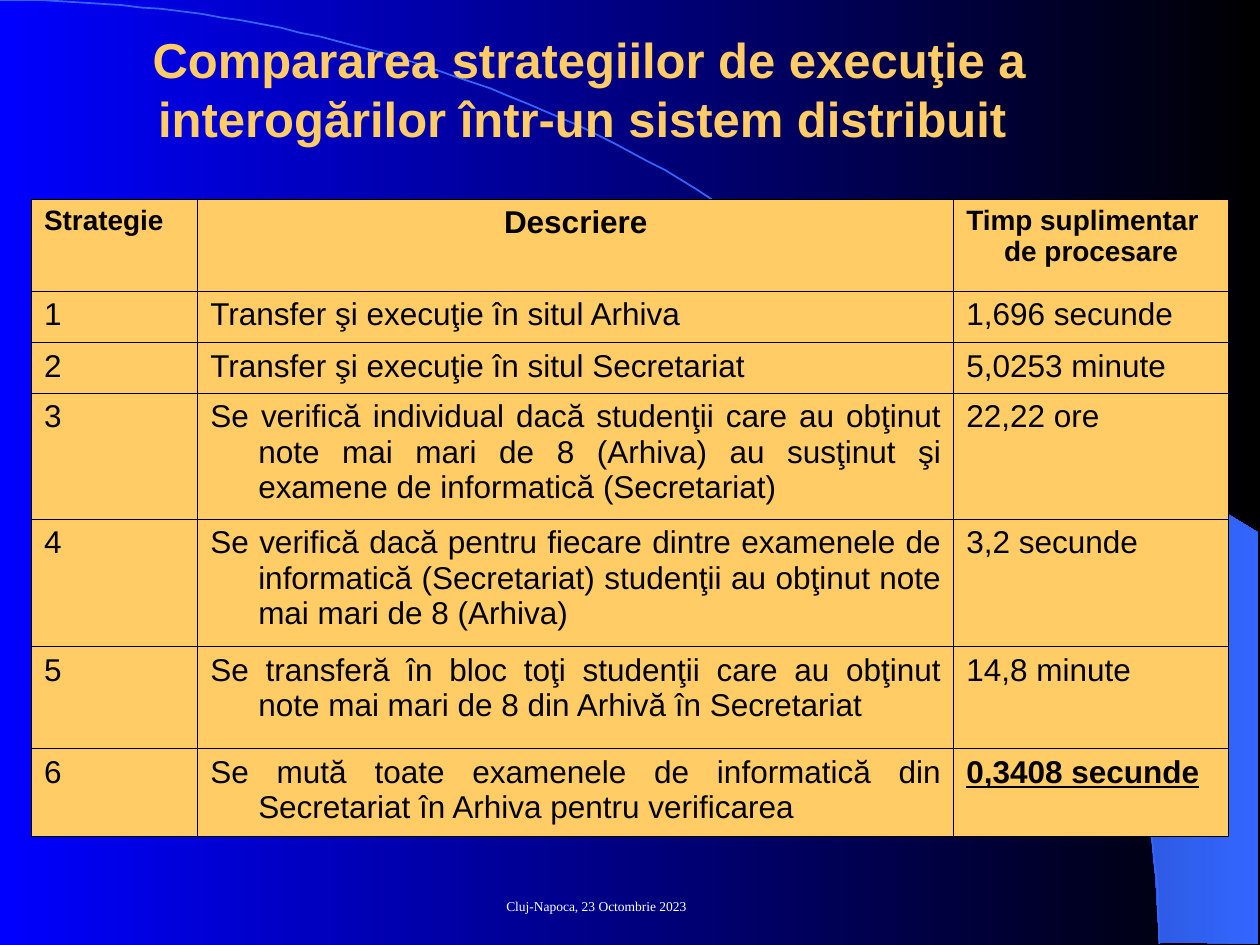
from dataclasses import dataclass
from math import cos, pi, sin

from lxml.etree import SubElement
from pptx import Presentation
from pptx.dml.color import RGBColor as Rgb
from pptx.enum.text import MSO_ANCHOR as Anchor, MSO_AUTO_SIZE as AutoSize, PP_ALIGN as Align
from pptx.oxml.ns import qn
from pptx.util import Pt

PX = 9144


@dataclass(frozen=True)
class Theme:
    """Colours, fonts and type sizes of the slide."""
    blue: str = "0000FF"
    black: str = "000000"
    white: str = "FFFFFF"
    gold: str = "FFCC66"
    arc: str = "3366FF"
    wedge: str = "182F76"
    sans: str = "Arial"
    serif: str = "Times New Roman"
    title: float = 28
    body: float = 18
    heading: float = 16
    footer: float = 7.7


THEME = Theme()
TITLE = "Compararea strategiilor de execuţie a interogărilor într-un sistem distribuit "
FOOTER = "Cluj-Napoca, 23 Octombrie 2023"
HEADINGS = [
    ("Strategie", THEME.heading, [Align.JUSTIFY]),
    ("Descriere", THEME.body, [Align.CENTER]),
    ("Timp suplimentar\nde procesare", THEME.heading, [Align.LEFT, Align.CENTER]),
]
STRATEGIES = [
    ("Transfer şi execuţie în situl Arhiva", "1,696 secunde"),
    ("Transfer şi execuţie în situl Secretariat", "5,0253 minute"),
    ("Se verifică individual dacă studenţii care au obţinut note mai mari de 8 (Arhiva) "
     "au susţinut şi examene de informatică (Secretariat)", "22,22 ore"),
    ("Se verifică dacă pentru fiecare dintre examenele de informatică (Secretariat) "
     "studenţii au obţinut note mai mari de 8 (Arhiva)", "3,2 secunde"),
    ("Se transferă în bloc toţi studenţii care au obţinut note mai mari de 8 "
     "din Arhivă în Secretariat", "14,8 minute"),
    ("Se mută toate examenele de informatică din Secretariat în Arhiva pentru verificarea",
     "0,3408 secunde"),
]
COLUMNS = [132, 600, 218]
ROWS = [73, 41, 40, 100, 101, 81, 70]
WEDGE = [(331, 575), (410, 576), (410, 250), (0, 0), (35, 26), (64, 49), (96, 77),
         (127, 107), (173, 157), (214, 211), (243, 258), (269, 306), (289, 355),
         (304, 399), (314, 436), (324, 483), (328, 523)]


def px(*lengths):
    """Turn px lengths into EMU."""
    return [length * PX for length in lengths]


def paint_gradient(fill, start, end):
    """Fill from left to right between two colours."""
    fill.gradient()
    fill.gradient_angle = 0
    for stop, colour in zip(fill.gradient_stops, (start, end)):
        stop.color.rgb = Rgb.from_string(colour)


def style_font(font, face, size, colour, bold=False):
    """Set the face, size, colour and weight of a font."""
    font.name, font.size, font.bold = face, Pt(size), bold
    font.color.rgb = Rgb.from_string(colour)


def trace(shapes, left, top, points, close):
    """Draw an outline through points given relative to a corner."""
    first, *rest = [(left + x, top + y) for x, y in points]
    builder = shapes.build_freeform(*first, scale=PX)
    builder.add_line_segments(rest, close=close)
    outline = builder.convert_to_shape()
    outline.shadow.inherit = False
    return outline


def add_decoration(slide, left, top, width, height):
    """Draw the wedge and the quarter ellipse behind the content."""
    shapes = slide.shapes.add_group_shape().shapes
    wedge = trace(shapes, left + 589, top + 173, WEDGE, True)
    paint_gradient(wedge.fill, THEME.wedge, THEME.arc)
    wedge.line.fill.background()
    steps = 90
    angles = [step * pi / 2 / steps for step in range(steps + 1)]
    curve = [(width * sin(a), height * (1 - cos(a))) for a in angles]
    arc = trace(shapes, left, top, curve, False)
    arc.fill.background()
    arc.line.color.rgb = Rgb.from_string(THEME.arc)
    arc.line.width = Pt(1)


def add_title(slide, left, top, width, height):
    """Place the title in front of the decoration."""
    title = slide.shapes.title
    title.element.getparent().append(title.element)
    title.left, title.top, title.width, title.height = px(left, top, width, height)
    frame = title.text_frame
    frame.text = TITLE
    frame.word_wrap, frame.auto_size = True, AutoSize.NONE
    frame.vertical_anchor = Anchor.MIDDLE
    frame.paragraphs[0].alignment = Align.CENTER
    style_font(frame.paragraphs[0].runs[0].font, THEME.sans, THEME.title, THEME.gold, True)


def fill_cell(cell, text, size, alignments, bold=False, underline=False):
    """Write one cell with hanging indents, thin borders and a gold fill."""
    properties = cell._tc.get_or_add_tcPr()
    for side in ("a:lnL", "a:lnR", "a:lnT", "a:lnB"):
        border = SubElement(properties, qn(side), w="5715")
        SubElement(SubElement(border, qn("a:solidFill")), qn("a:srgbClr"), val=THEME.black)
    cell.fill.solid()
    cell.fill.fore_color.rgb = Rgb.from_string(THEME.gold)
    cell.margin_left = cell.margin_right = 10 * PX
    cell.margin_top = cell.margin_bottom = 5 * PX
    cell.text_frame.text = text
    for paragraph, alignment in zip(cell.text_frame.paragraphs, alignments):
        paragraph.alignment = alignment
        indents = paragraph._p.get_or_add_pPr()
        indents.set("marL", str(38 * PX))
        indents.set("indent", str(-38 * PX))
        font = paragraph.runs[0].font
        style_font(font, THEME.sans, size, THEME.black, bold)
        font.underline = underline


def add_strategies(slide, left, top, width, height):
    """Build the table that compares the strategies."""
    box = px(left, top, width, height)
    table = slide.shapes.add_table(len(ROWS), len(COLUMNS), *box).table
    table.first_row = table.horz_banding = False
    for column, size in zip(table.columns, COLUMNS):
        column.width = size * PX
    for row, size in zip(table.rows, ROWS):
        row.height = size * PX
    for col, heading in enumerate(HEADINGS):
        fill_cell(table.cell(0, col), *heading, bold=True)
    for number, strategy in enumerate(STRATEGIES, 1):
        for col, text in enumerate((str(number), *strategy)):
            best = col == 2 and number == len(STRATEGIES)
            fill_cell(table.cell(number, col), text, THEME.body, [Align.JUSTIFY], best, best)


def add_footer(slide, left, top, width, height):
    """Write the place and date line."""
    frame = slide.shapes.add_textbox(*px(left, top, width, height)).text_frame
    frame.word_wrap = True
    frame.text = FOOTER
    style_font(frame.paragraphs[0].runs[0].font, THEME.serif, THEME.footer, THEME.white)


def main():
    """Build and save the slide."""
    deck = Presentation()
    deck.slide_width, deck.slide_height = px(1000, 750)
    slide = deck.slides.add_slide(deck.slide_layouts[5])
    paint_gradient(slide.background.fill, THEME.blue, THEME.black)
    add_decoration(slide, 0, 0, 920, 749)
    add_title(slide, 92, -17, 751, 175)
    add_strategies(slide, 25, 158, sum(COLUMNS), sum(ROWS))
    add_footer(slide, 392, 708, 317, 25)
    deck.save("out.pptx")


if __name__ == "__main__":
    main()
